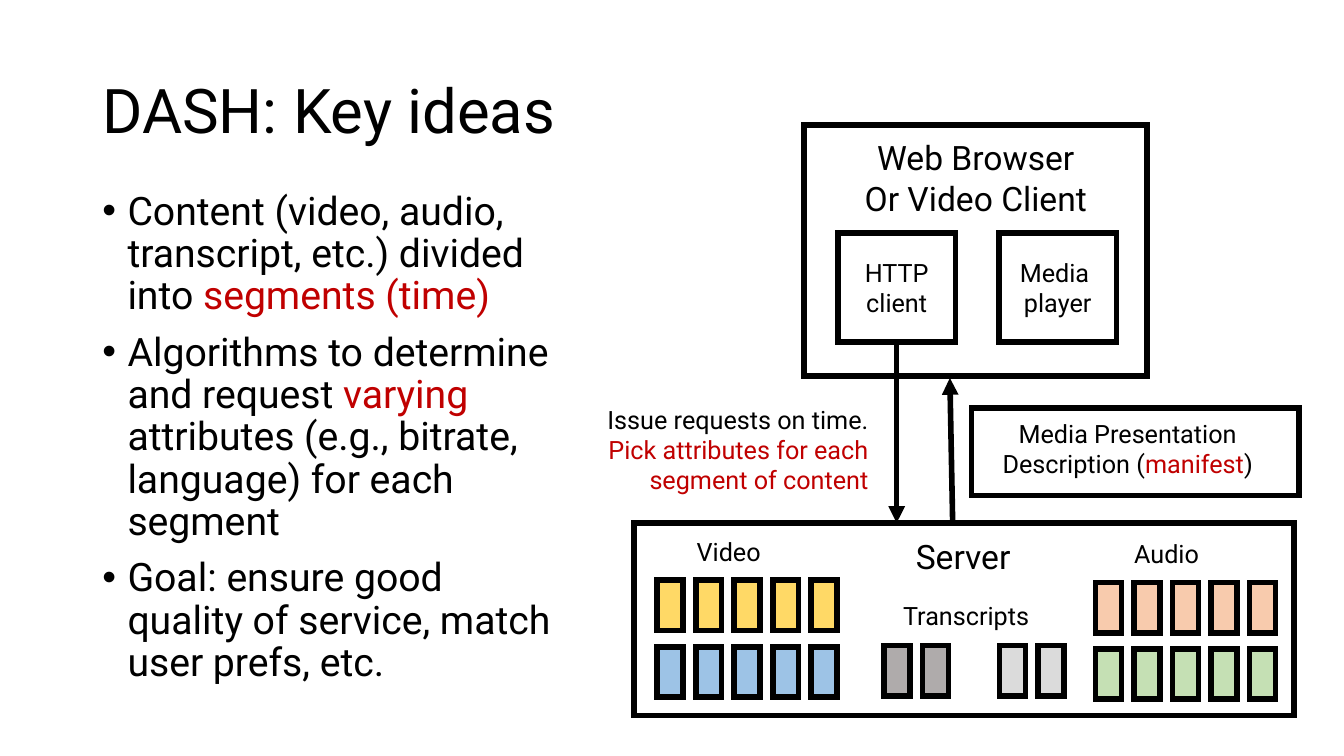
from lxml import etree
from pptx import Presentation
from pptx.dml.color import RGBColor
from pptx.enum import shapes, text
from pptx.oxml.ns import qn
from pptx.util import Pt

BLACK = RGBColor(0x00, 0x00, 0x00)
RED = RGBColor(0xC0, 0x00, 0x00)
YELLOW = RGBColor(0xFF, 0xD9, 0x66)
BLUE = RGBColor(0x9D, 0xC3, 0xE6)
PEACH = RGBColor(0xF8, 0xCB, 0xAD)
GREEN = RGBColor(0xC5, 0xE0, 0xB4)
DARK_GRAY = RGBColor(0xAF, 0xAB, 0xAB)
LIGHT_GRAY = RGBColor(0xDB, 0xDB, 0xDB)

FONT = "Roboto"
LEFT, CENTER, RIGHT = text.PP_ALIGN.LEFT, text.PP_ALIGN.CENTER, text.PP_ALIGN.RIGHT
SEG_W, SEG_H, SEG_STEP = 18.5, 36, 27.5


def add_rect(s, x, y, w, h, fill=None):
    sp = s.shapes.add_shape(shapes.MSO_SHAPE.RECTANGLE, Pt(x), Pt(y), Pt(w), Pt(h))
    sp.shadow.inherit = False
    if fill is None:
        sp.fill.background()
    else:
        sp.fill.solid()
        sp.fill.fore_color.rgb = fill
    sp.line.color.rgb = BLACK
    sp.line.width = Pt(4)
    etree.SubElement(sp.line._get_or_add_ln(), qn("a:miter"), lim="800000")
    return sp


def add_text(s, x, y, w, h, paragraphs, size=18, align=LEFT):
    """Each paragraph is a string, or a list of (text, colour) runs."""
    sp = s.shapes.add_textbox(Pt(x), Pt(y), Pt(w), Pt(h))
    tf = sp.text_frame
    tf.word_wrap = True
    for i, runs in enumerate(paragraphs):
        p = tf.add_paragraph() if i else tf.paragraphs[0]
        p.alignment = align
        for words, color in [(runs, BLACK)] if isinstance(runs, str) else runs:
            r = p.add_run()
            r.text = words
            r.font.name, r.font.size = FONT, Pt(size)
            r.font.color.rgb = color
    return tf


def add_arrow(s, x1, y1, x2, y2):
    cx = s.shapes.add_connector(shapes.MSO_CONNECTOR.STRAIGHT, Pt(x1), Pt(y1), Pt(x2), Pt(y2))
    cx.line.color.rgb = BLACK
    cx.line.width = Pt(4)
    etree.SubElement(cx.line._get_or_add_ln(), qn("a:tailEnd"), type="triangle")
    etree.SubElement(cx._element.spPr, qn("a:effectLst"))
    return cx


def add_segments(s, x, y, count, color):
    for i in range(count):
        add_rect(s, x + i * SEG_STEP, y, SEG_W, SEG_H, color)


def add_title(s, x, y, w, h):
    sp = s.shapes.title
    sp.left, sp.top, sp.width, sp.height = Pt(x), Pt(y), Pt(w), Pt(h)
    tf = sp.text_frame
    tf.text = "DASH: Key ideas"
    tf.auto_size = text.MSO_AUTO_SIZE.NONE
    tf.vertical_anchor = text.MSO_ANCHOR.MIDDLE
    p = tf.paragraphs[0]
    p.alignment, p.line_spacing = LEFT, 0.9
    font = p.runs[0].font
    font.name, font.size = FONT, Pt(44)
    font.color.rgb = BLACK


def add_key_ideas(s, x, y, w, h):
    tf = add_text(s, x, y, w, h, [
        [("Content (video, audio, transcript, etc.) divided into ", BLACK),
         ("segments (time)", RED)],
        [("Algorithms to determine and request ", BLACK), ("varying ", RED),
         ("attributes (e.g., bitrate, language) for each segment", BLACK)],
        "Goal: ensure good quality of service, match user prefs, etc.",
    ], size=28)
    for i, p in enumerate(tf.paragraphs):
        p.line_spacing = 0.9
        p.space_before = Pt(10 if i else 0)
        pPr = p._p.get_or_add_pPr()
        pPr.set("marL", str(Pt(18)))
        pPr.set("indent", str(-Pt(18)))
        etree.SubElement(pPr, qn("a:buFont"), typeface="Arial")
        etree.SubElement(pPr, qn("a:buChar"), char="•")


def add_client(s, x, y, w, h):
    """Draws the client and returns its HTTP client box."""
    add_rect(s, x, y, w, h)
    add_text(s, x, y + 5, w, 65, ["Web Browser", "Or Video Client"], 24, CENTER)
    boxes = []
    for dx, lines in ((24, ["HTTP", "client"]), (139, ["Media ", "player"])):
        boxes.append(add_rect(s, x + dx, y + 77, 84, 78))
        add_text(s, x + dx, y + 90.5, 84, 51, lines, align=CENTER)
    return boxes[0]


def add_server(s, x, y, w, h):
    add_rect(s, x, y, w, h)
    add_text(s, x + 140.5, y + 6, 189, 36, ["Server"], 24, CENTER)
    # Video and audio: a label over two rows of segments
    for label, label_dx, dx, dy, colors in (
        ("Video", 37.5, 16.5, 41, (YELLOW, BLUE)),
        ("Audio", 350, 329.5, 42.5, (PEACH, GREEN)),
    ):
        add_text(s, x + label_dx, y + dy - 35, 96, 29, [label])
        for row, color in enumerate(colors):
            add_segments(s, x + dx, y + dy + row * 47.5, 5, color)
    # Transcripts
    add_text(s, x + 185, y + 52, 117.5, 29, ["Transcripts"])
    for dx, color in ((178.5, DARK_GRAY), (261, LIGHT_GRAY)):
        add_segments(s, x + dx, y + 87.5, 2, color)


def add_manifest(s, x, y, w, h):
    add_rect(s, x, y, w, h)
    add_text(s, x - 11, y + 3.5, w + 11, 51, [
        "Media Presentation",
        [("Description (", BLACK), ("manifest", RED), (")", BLACK)],
    ], align=CENTER)


def add_exchange(s, x, y, h, http_client):
    """Arrows between client and server; x is the request arrow, y the HTTP client's bottom."""
    request = add_arrow(s, x, y, x, y + h)
    request.begin_connect(http_client, 2)
    add_arrow(s, x + 40, y + h, x + 38, y + 25.5)
    add_text(s, x - 245, y + 40.5, 232, 73, [
        [("Issue requests on time. ", BLACK),
         ("Pick attributes for each segment of content", RED)],
    ], align=RIGHT)


def main():
    prs = Presentation()
    prs.slide_width, prs.slide_height = Pt(960), Pt(540)
    s = prs.slides.add_slide(prs.slide_layouts[5])
    add_title(s, 66, 29, 828, 104)
    add_key_ideas(s, 66, 133, 336, 390)
    http_client = add_client(s, 574.5, 89.5, 245, 179)
    add_server(s, 453, 373.5, 471.5, 137.5)
    add_manifest(s, 694, 291.5, 234, 62.5)
    add_exchange(s, 640.5, 244.5, 129, http_client)
    prs.save("out.pptx")


if __name__ == "__main__":
    main()
